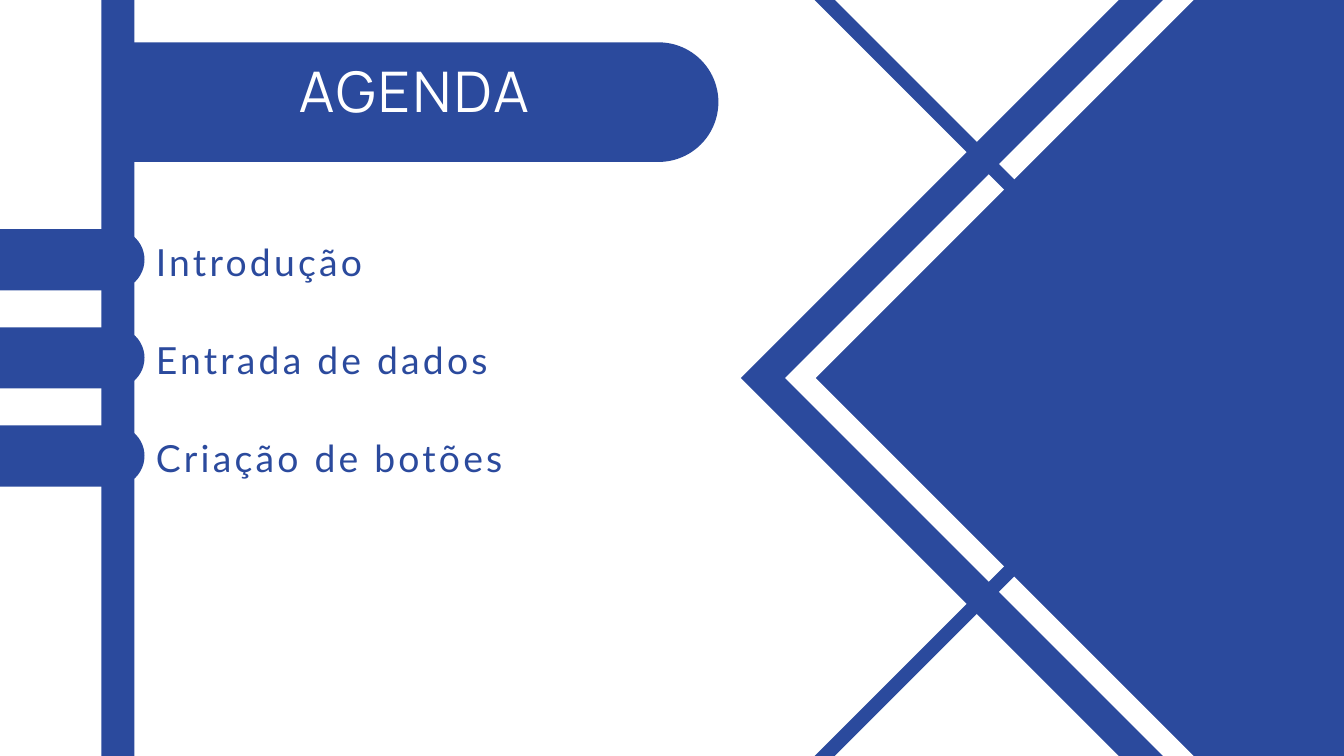
from pptx import Presentation
from pptx.dml.color import RGBColor
from pptx.enum.shapes import MSO_SHAPE
from pptx.enum.text import PP_ALIGN
from pptx.util import Inches, Pt

BLUE = RGBColor(0x2B, 0x4A, 0x9D)
WHITE = RGBColor(0xFF, 0xFF, 0xFF)
FRAME_THICKNESS = 0.0313  # share of the frame's side

prs = Presentation()
prs.slide_width = Inches(20)
prs.slide_height = Inches(11.25)
slide = prs.slides.add_slide(prs.slide_layouts[6])


def add_block(preset, left, top, width, height, color, rotation=0, adjustment=None):
    """Add a flat, borderless shape; its place is given before rotation."""
    block = slide.shapes.add_shape(
        preset, Inches(left), Inches(top), Inches(width), Inches(height))
    block.rotation = rotation
    block.shadow.inherit = False
    block.fill.solid()
    block.fill.fore_color.rgb = color
    block.line.fill.background()
    if adjustment is not None:
        block.adjustments[0] = adjustment


def add_line_of_text(text, left, top, width, height, font, size, color,
                     line_height, tracking, align):
    box = slide.shapes.add_textbox(
        Inches(left), Inches(top), Inches(width), Inches(height))
    frame = box.text_frame
    frame.word_wrap = True
    frame.margin_left = frame.margin_right = 0
    frame.margin_top = frame.margin_bottom = 0
    paragraph = frame.paragraphs[0]
    paragraph.alignment = align
    paragraph.line_spacing = Pt(line_height)
    run = paragraph.add_run()
    run.text = text
    run.font.name = font
    run.font.size = Pt(size)
    run.font.color.rgb = color
    run._r.get_or_add_rPr().set("spc", str(int(tracking * 100)))


# Vertical bar
add_block(MSO_SHAPE.RECTANGLE, 1.51, 0, 0.49, 11.25, BLUE)

# Diamonds running off the right side
add_block(MSO_SHAPE.RECTANGLE, 13.33, 0.06, 11.13, 11.13, BLUE, 45)
add_block(MSO_SHAPE.FRAME, 13.81, 0.49, 10.27, 10.27, WHITE, 45, FRAME_THICKNESS)
for frame_top in (8.8, -4.29):
    add_block(MSO_SHAPE.FRAME, 12.6, frame_top, 6.74, 6.74, BLUE, 45, FRAME_THICKNESS)

# Title banner, rounded on the right
add_block(MSO_SHAPE.ROUND_2_SAME_RECTANGLE, 5.45, -2.83, 1.78, 8.7, BLUE, 90, 0.5)
add_line_of_text("AGENDA", 2.32, 0.96, 7.68, 0.98, "Manrope", 60, WHITE,
                 63, 3, PP_ALIGN.CENTER)

# Agenda items, each with a tab from the left edge
topics = ["Introdução", "Entrada de dados", "Criação de botões"]
for index, topic in enumerate(topics):
    offset = index * 1.46
    add_block(MSO_SHAPE.ROUND_2_SAME_RECTANGLE, 0.62, 2.79 + offset, 0.91, 2.15,
              BLUE, 90, 0.5)
    add_line_of_text(topic, 2.32, 3.54 + offset, 8.03, 0.63, "Lato", 40, BLUE,
                     49, 3.5, PP_ALIGN.LEFT)

prs.save("out.pptx")
